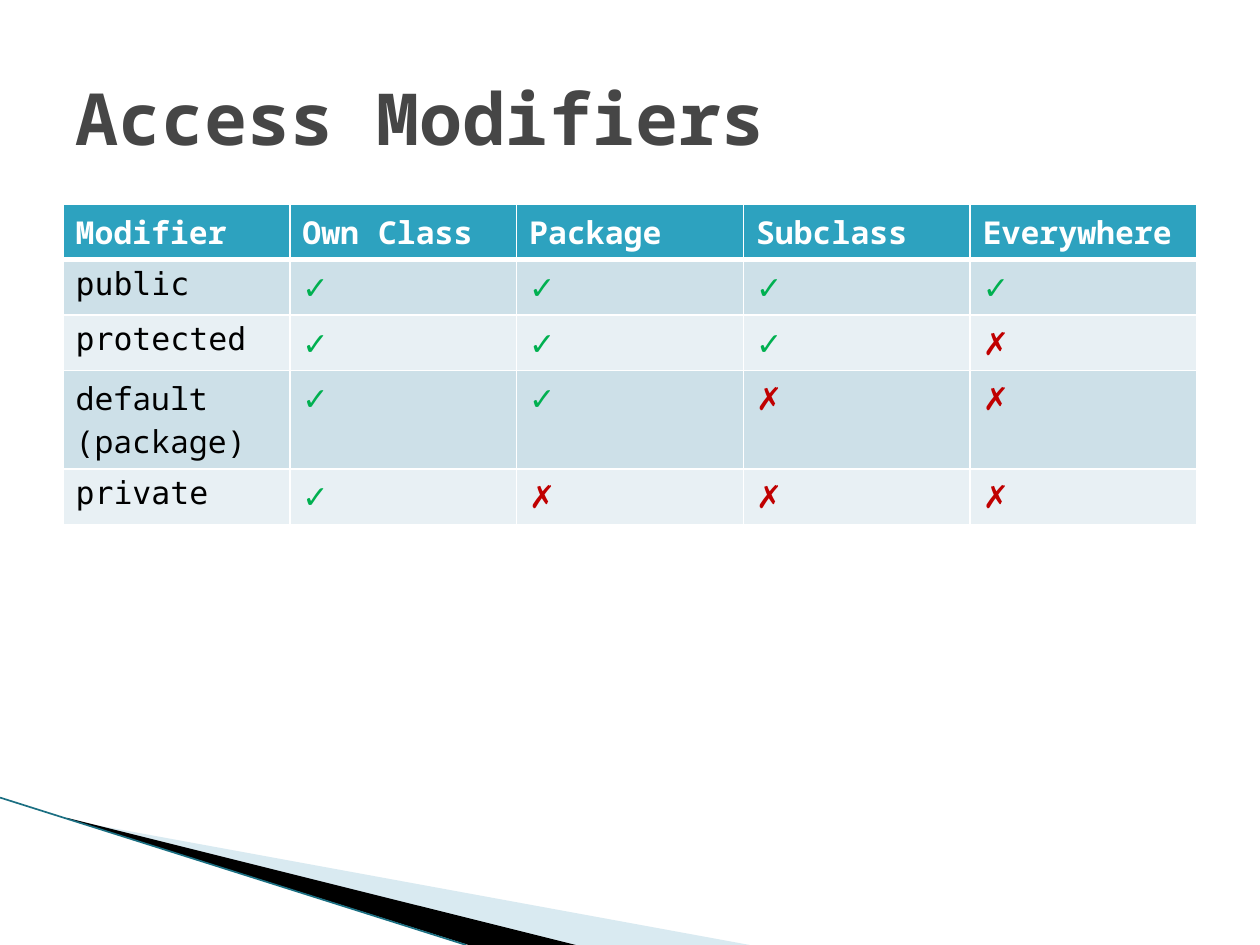
from lxml import etree
from pptx import Presentation
from pptx.dml.color import RGBColor
from pptx.enum.shapes import MSO_CONNECTOR
from pptx.enum.text import MSO_ANCHOR, PP_ALIGN
from pptx.oxml.ns import qn
from pptx.util import Inches, Pt

STRAIGHT = MSO_CONNECTOR.STRAIGHT
MIDDLE = MSO_ANCHOR.MIDDLE
LEFT = PP_ALIGN.LEFT

WHITE = RGBColor(0xFF, 0xFF, 0xFF)
BLACK = RGBColor(0, 0, 0)
GREY = RGBColor(0x46, 0x46, 0x46)
TEAL = RGBColor(0x2D, 0xA2, 0xBF)
DEEP = RGBColor(0x1B, 0x6F, 0x82)
MIST = RGBColor(0xA0, 0xCB, 0xDC)
BANDS = (RGBColor(0xCD, 0xE0, 0xE8), RGBColor(0xE8, 0xF0, 0xF4))
GREEN = RGBColor(0, 0xB0, 0x50)
RED = RGBColor(0xC0, 0, 0)

NOTO = "Noto Sans Mono"
DEJAVU = "DejaVu Sans Mono"
YES, NO = "✓", "✗"
COLS, ROWS = 20, 15

HEADS = ("Modifier", "Own Class", "Package", "Subclass", "Everywhere")
ACCESS = (
    ("public", DEJAVU, 4),
    ("protected", DEJAVU, 3),
    ("default (package)", NOTO, 2),
    ("private", DEJAVU, 1),
)


class Deck:
    def __init__(self):
        self.file = Presentation()
        self.file.slide_width = Inches(10)
        self.file.slide_height = Inches(7.5)
        self.slide = self.file.slides.add_slide(self.file.slide_layouts[5])
        self.shapes = self.slide.shapes

    def x(self, col):
        return round(self.file.slide_width * col / COLS)

    def y(self, row):
        return round(self.file.slide_height * row / ROWS)

    def font(self, frame, name, size, color, bold=False):
        for run in frame.paragraphs[0].runs:
            run.font.name = name
            run.font.size = Pt(size)
            run.font.bold = bold
            run.font.color.rgb = color

    def title(self, text, left, top, width, height):
        head = self.shapes.title
        head.left, head.top = self.x(left), self.y(top)
        head.width, head.height = self.x(width), self.y(height)
        frame = head.text_frame
        frame.text = text
        frame.vertical_anchor = MIDDLE
        frame.paragraphs[0].alignment = LEFT
        self.font(frame, NOTO, 41, GREY, True)

    def wedge(self, points, color, alpha=100):
        spots = [(self.x(col), self.y(row)) for col, row in points]
        pen = self.shapes.build_freeform(*spots[0])
        pen.add_line_segments(spots[1:])
        shape = pen.convert_to_shape()
        shape.shadow.inherit = False
        shape.fill.solid()
        shape.fill.fore_color.rgb = color
        shape.line.fill.background()
        if alpha < 100:
            tint = shape.fill._xPr.find(".//" + qn("a:srgbClr"))
            etree.SubElement(tint, qn("a:alpha"), val=str(alpha * 1000))

    def line(self, start, end, color, width):
        ends = [self.x(start[0]), self.y(start[1]), self.x(end[0]), self.y(end[1])]
        edge = self.shapes.add_connector(STRAIGHT, *ends)
        edge.line.color.rgb = color
        edge.line.width = Pt(width)
        etree.SubElement(edge._element.spPr, qn("a:effectLst"))

    def border(self, cell, below):
        props = cell._tc.get_or_add_tcPr()
        sides = (("a:lnL", 1), ("a:lnR", 1), ("a:lnT", 1), ("a:lnB", below))
        for place, (tag, width) in enumerate(sides):
            edge = etree.Element(qn(tag), w=str(Pt(width)))
            fill = etree.SubElement(edge, qn("a:solidFill"))
            etree.SubElement(fill, qn("a:srgbClr"), val=str(WHITE))
            props.insert(place, edge)

    def cell(self, cell, text, fill, name, color, bold=False, below=1):
        cell.text_frame.text = text
        self.font(cell.text_frame, name, 18, color, bold)
        cell.fill.solid()
        cell.fill.fore_color.rgb = fill
        self.border(cell, below)

    def table(self, heads, rows, left, top, width, step):
        count = len(rows) + 1
        box = (self.x(left), self.y(top), self.x(width), self.y(step * count))
        grid = self.shapes.add_table(count, len(heads), *box).table
        for col, head in enumerate(heads):
            self.cell(grid.cell(0, col), head, TEAL, NOTO, WHITE, True, 3)
        for row, (label, name, reach) in enumerate(rows, 1):
            fill = BANDS[(row - 1) % 2]
            self.cell(grid.cell(row, 0), label, fill, name, BLACK)
            for col in range(1, len(heads)):
                mark, color = (YES, GREEN) if col <= reach else (NO, RED)
                self.cell(grid.cell(row, col), mark, fill, NOTO, color)


deck = Deck()
deck.wedge([(1.1, 13.02), (11.9, 15), (9.12, 15), (1.1, 13)], MIST, 40)
deck.wedge([(1.06, 12.98), (9.14, 15), (7.44, 15), (1.08, 13)], BLACK)
deck.line((0, 12.66), (7.4, 15), DEEP, 0.95)
deck.table(HEADS, ACCESS, 1, 3.24, 18, 0.82)
deck.title("Access Modifiers", 1, 0.6, 18, 2.5)
deck.file.save("out.pptx")
